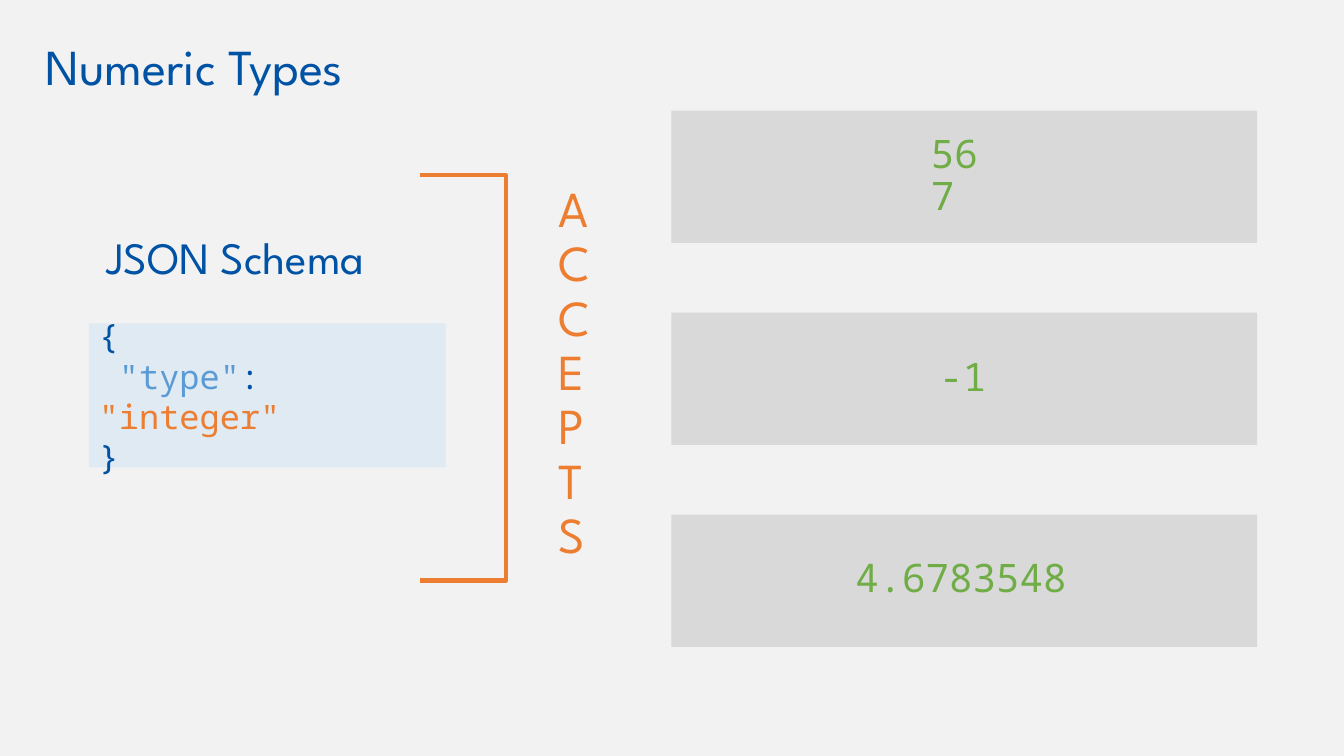
from dataclasses import dataclass

from pptx import Presentation
from pptx.dml.color import RGBColor
from pptx.enum.shapes import MSO_SHAPE as Preset
from pptx.enum.text import MSO_ANCHOR as Anchor
from pptx.shapes.autoshape import Shape
from pptx.slide import Slide
from pptx.text.text import _Run as Span
from pptx.util import Cm, Pt

NAVY = RGBColor(0x00, 0x52, 0xA5)
BLUE = RGBColor(0x5B, 0x9B, 0xD5)
ORANGE = RGBColor(0xED, 0x7D, 0x31)
GREEN = RGBColor(0x70, 0xAD, 0x47)
PALE_BLUE = RGBColor(0xDF, 0xEA, 0xF3)
GREY = RGBColor(0xD9, 0xD9, 0xD9)
BACKGROUND = RGBColor(0xF2, 0xF2, 0xF2)

HEADING_FONT = "League Spartan"
CODE_FONT = "Noto Sans Mono"

CARD_LEFT, CARD_TOP, CARD_WIDTH, CARD_HEIGHT = 16.92, 2.79, 14.76, 3.33
CARD_PITCH = 5.09
VALUE_HEIGHT = 1.35


@dataclass(frozen=True)
class Area:
    left: float
    top: float
    width: float
    height: float

    def lengths(self) -> tuple[Cm, Cm, Cm, Cm]:
        return Cm(self.left), Cm(self.top), Cm(self.width), Cm(self.height)


@dataclass(frozen=True)
class Heading:
    text: str
    area: Area
    size: int
    color: RGBColor


@dataclass(frozen=True)
class Value:
    text: str
    width: float
    tight: bool = False


HEADINGS = [
    Heading("Numeric Types", Area(0.89, -0.1, 16.03, 3.68), 36, NAVY),
    Heading("JSON Schema", Area(2.44, 4.7, 8.71, 3.68), 32, NAVY),
    Heading("ACCEPTS", Area(13.84, 1.91, 0.48, 15.04), 36, ORANGE),
]
SCHEMA_LINES = [
    [("{", NAVY)],
    [(' "type"', BLUE), (": ", NAVY), ('"integer"', ORANGE)],
    [("}", NAVY)],
]
VALUES = [Value("567", 2.18), Value("-1", 1.75), Value("4.6783548", 5.49, tight=True)]


def style(span: Span, font: str, size: int, color: RGBColor) -> None:
    span.font.name = font
    span.font.size = Pt(size)
    span.font.color.rgb = color


def add_box(page: Slide, area: Area) -> Shape:
    box = page.shapes.add_textbox(*area.lengths())
    box.text_frame.word_wrap = True
    box.text_frame.vertical_anchor = Anchor.MIDDLE
    return box


def add_line(page: Slide, text: str, area: Area, font: str, size: int, color: RGBColor) -> Shape:
    box = add_box(page, area)
    box.text_frame.text = text
    para = box.text_frame.paragraphs[0]
    para.line_spacing = 0.9
    style(para.runs[0], font, size, color)
    return box


def add_panel(page: Slide, area: Area, color: RGBColor) -> None:
    panel = page.shapes.add_shape(Preset.RECTANGLE, *area.lengths())
    panel.shadow.inherit = False
    panel.fill.solid()
    panel.fill.fore_color.rgb = color
    panel.line.fill.background()


def add_schema(page: Slide) -> None:
    add_panel(page, Area(2.24, 8.15, 8.99, 3.63), PALE_BLUE)
    frame = add_box(page, Area(2.24, 8.31, 8.99, 3.33)).text_frame
    for index, line in enumerate(SCHEMA_LINES):
        para = frame.add_paragraph() if index else frame.paragraphs[0]
        for text, color in line:
            span = para.add_run()
            span.text = text
            style(span, CODE_FONT, 24, color)


def add_bracket(page: Slide) -> None:
    bracket = page.shapes.add_shape(Preset.RIGHT_BRACKET, *Area(10.59, 4.42, 2.16, 10.21).lengths())
    bracket.adjustments[0] = 0
    bracket.shadow.inherit = False
    bracket.fill.background()
    bracket.line.color.rgb = ORANGE
    bracket.line.width = Pt(3)


def add_value(page: Slide, value: Value, card_top: float) -> None:
    left = CARD_LEFT + (CARD_WIDTH - value.width) / 2
    top = card_top + (CARD_HEIGHT - VALUE_HEIGHT) / 2
    area = Area(left, top, value.width, VALUE_HEIGHT)
    box = add_line(page, value.text, area, CODE_FONT, 28, GREEN)
    if value.tight:
        frame = box.text_frame
        frame.word_wrap = False
        frame.margin_left = frame.margin_top = frame.margin_right = 0
        frame.margin_bottom = Cm(0.18)
        frame.paragraphs[0].line_spacing = 1.0


def main() -> None:
    deck = Presentation()
    deck.slide_width, deck.slide_height = Cm(33.87), Cm(19.05)
    page = deck.slides.add_slide(deck.slide_layouts[6])
    page.background.fill.solid()
    page.background.fill.fore_color.rgb = BACKGROUND

    for heading in HEADINGS:
        add_line(page, heading.text, heading.area, HEADING_FONT, heading.size, heading.color)
    add_schema(page)
    add_bracket(page)
    for row, value in enumerate(VALUES):
        card_top = CARD_TOP + row * CARD_PITCH
        add_panel(page, Area(CARD_LEFT, card_top, CARD_WIDTH, CARD_HEIGHT), GREY)
        add_value(page, value, card_top)

    deck.save("out.pptx")


if __name__ == "__main__":
    main()
